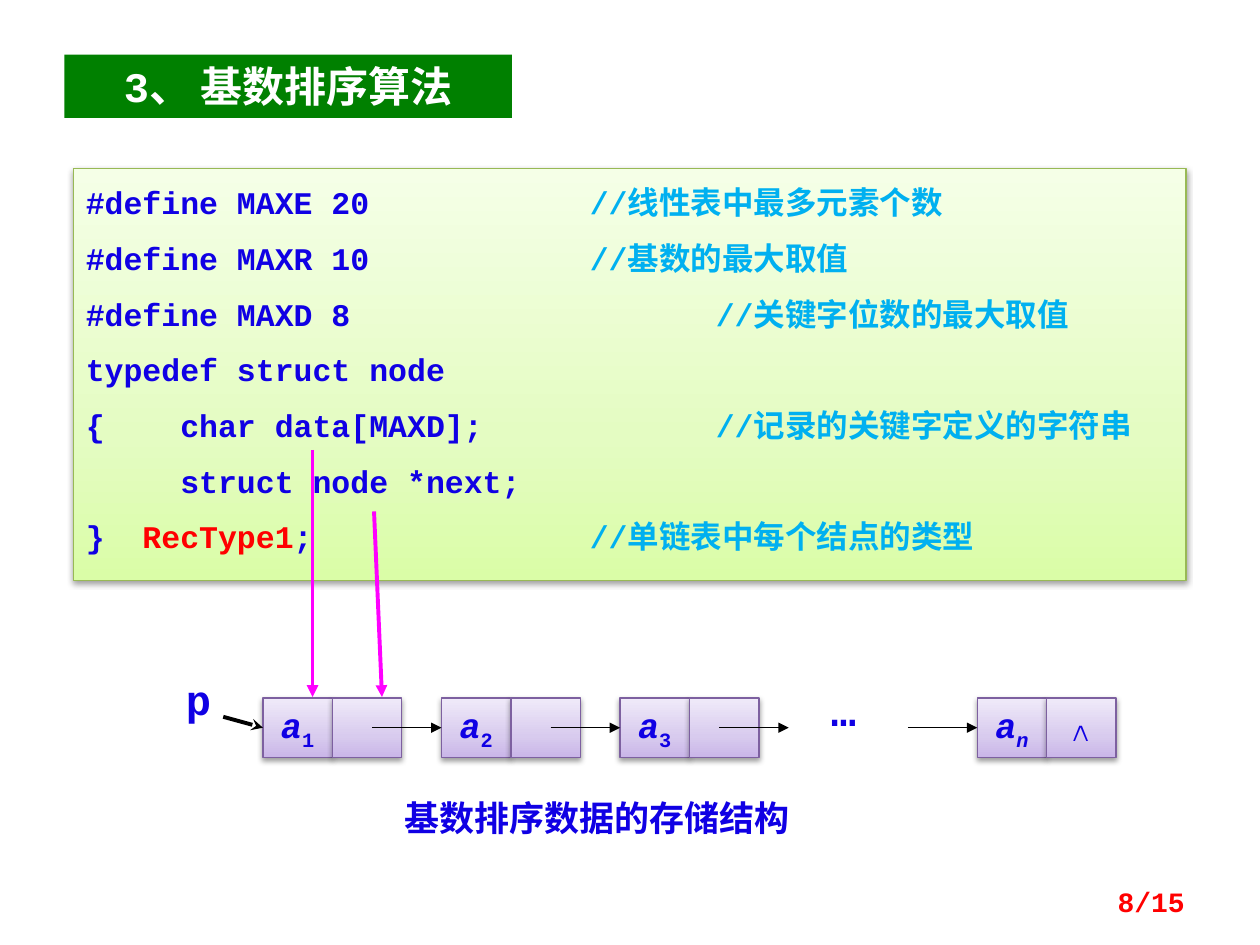
from copy import deepcopy

from lxml import etree
from pptx import Presentation
from pptx.dml.color import RGBColor
from pptx.enum.shapes import MSO_CONNECTOR, MSO_SHAPE
from pptx.enum.text import MSO_ANCHOR, PP_ALIGN
from pptx.oxml.ns import qn
from pptx.util import Cm, Pt

RECTANGLE = MSO_SHAPE.RECTANGLE
STRAIGHT = MSO_CONNECTOR.STRAIGHT
TOP, MIDDLE = MSO_ANCHOR.TOP, MSO_ANCHOR.MIDDLE
LEFT, CENTER, RIGHT = PP_ALIGN.LEFT, PP_ALIGN.CENTER, PP_ALIGN.RIGHT
JUSTIFY = PP_ALIGN.JUSTIFY

FONT = "Courier New"
BLUE, SKY, RED, WHITE = "1000E4", "00B0F0", "FF0000", "FFFFFF"
BLACK, MAGENTA, GREEN = "000000", "FF00FF", "008000"
LIME_STOPS = [(0, "DAFDA7"), (0.35, "E4FCC2"), (1, "F5FFE7")]
LILAC_STOPS = [(0, "C9B5E8"), (0.35, "D8CBEE"), (1, "F0EAF9")]

NODE_LEFT, NODE_TOP, NODE_STEP = 5.3, 14.07, 3.6
CELL_WIDTH, CELL_HEIGHT = 1.4, 1.2
NODE_MIDDLE = NODE_TOP + CELL_HEIGHT / 2
NEAR_TAB, FAR_TAB = 10.16, 12.7

CODE_LINES = [
    ([("#define MAXE 20", BLUE)], "//线性表中最多元素个数", NEAR_TAB),
    ([("#define MAXR 10", BLUE)], "//基数的最大取值", NEAR_TAB),
    ([("#define MAXD 8", BLUE)], "//关键字位数的最大取值", FAR_TAB),
    ([("typedef struct node", BLUE)], None, None),
    ([("{    char data[MAXD];", BLUE)], "//记录的关键字定义的字符串", FAR_TAB),
    ([("     struct node *next;", BLUE)], None, None),
    ([("}  ", BLUE), ("RecType1", RED), (";", BLUE)], "//单链表中每个结点的类型", NEAR_TAB),
]


def color(value):
    """Turn a hex string into a colour."""
    return RGBColor.from_string(value)


def add_span(para, text, size, ink, italic=False, subscript=False):
    """Append one bold run to a paragraph."""
    span = para.add_run()
    span.text = text
    span.font.name = FONT
    span.font.size = Pt(size)
    span.font.bold = True
    span.font.italic = italic
    span.font.color.rgb = color(ink)
    if subscript:
        span.font._element.set("baseline", "-25000")


def first_para(box, align, anchor, wrap=True):
    """Set up a text frame and return its first paragraph."""
    frame = box.text_frame
    frame.word_wrap = wrap
    frame.vertical_anchor = anchor
    para = frame.paragraphs[0]
    para.alignment = align
    return para


def add_label(page, place, text, size, ink=BLUE, align=LEFT, anchor=TOP):
    """Add a text box holding one run."""
    box = page.shapes.add_textbox(*map(Cm, place))
    add_span(first_para(box, align, anchor), text, size, ink)


def add_panel(page, place, stops, edge):
    """Add a rectangle with an upward gradient and a soft shadow."""
    panel = page.shapes.add_shape(RECTANGLE, *map(Cm, place))
    panel.fill.gradient()
    panel.fill.gradient_angle = 90
    stop_list = panel._element.spPr.find(".//" + qn("a:gsLst"))
    stop_list.insert(1, deepcopy(stop_list[0]))
    for stop, (position, ink) in zip(panel.fill.gradient_stops, stops):
        stop.position = position
        stop.color.rgb = color(ink)
    panel.line.color.rgb = color(edge)
    panel.line.width = Pt(0.75)
    panel.shadow.inherit = False
    effects = panel._element.spPr.find(qn("a:effectLst"))
    shadow = etree.SubElement(effects, qn("a:outerShdw"), blurRad="40000",
                              dist="20000", dir="5400000", rotWithShape="0")
    ink = etree.SubElement(shadow, qn("a:srgbClr"), val=BLACK)
    etree.SubElement(ink, qn("a:alpha"), val="38000")
    return panel


def add_arrow(page, start, end, ink=BLACK, width=0.75, head="triangle", target=None):
    """Add an arrow, joined to the left side of the target if there is one."""
    arrow = page.shapes.add_connector(STRAIGHT, *map(Cm, (*start, *end)))
    if target is not None:
        arrow.end_connect(target, 1)
    arrow.line.color.rgb = color(ink)
    arrow.line.width = Pt(width)
    etree.SubElement(arrow.line._get_or_add_ln(), qn("a:tailEnd"), type=head)
    etree.SubElement(arrow._element.spPr, qn("a:effectLst"))


def add_title(page):
    """Add the green heading bar."""
    bar = page.shapes.add_shape(RECTANGLE, Cm(1.3), Cm(1.1), Cm(9.02), Cm(1.28))
    bar.shadow.inherit = False
    bar.fill.solid()
    bar.fill.fore_color.rgb = color(GREEN)
    bar.line.fill.background()
    add_span(first_para(bar, CENTER, TOP), "3、 基数排序算法", 24, WHITE)


def add_code(page):
    """Add the code panel with comments aligned by tab stops."""
    panel = add_panel(page, (1.48, 3.4, 22.43, 8.3), LIME_STOPS, "98B955")
    para = first_para(panel, JUSTIFY, TOP)
    frame = panel.text_frame
    frame.margin_top = frame.margin_bottom = Cm(0.3)
    for index, (code, comment, tab) in enumerate(CODE_LINES):
        if index:
            para = frame.add_paragraph()
            para.alignment = JUSTIFY
            para.space_before = Pt(10.2)
        for text, ink in code:
            add_span(para, text, 18, ink)
        if comment:
            tabs = etree.SubElement(para._p.get_or_add_pPr(), qn("a:tabLst"))
            etree.SubElement(tabs, qn("a:tab"), pos=str(Cm(tab)), algn="l")
            add_span(para, "\t", 18, BLUE)
            add_span(para, comment, 18, SKY)


def add_node(page, slot, index, last=False):
    """Add a data cell and a pointer cell and return the data cell."""
    left = NODE_LEFT + slot * NODE_STEP
    data, pointer = [
        add_panel(page, (x, NODE_TOP, CELL_WIDTH, CELL_HEIGHT), LILAC_STOPS, "7D60A0")
        for x in (left, left + CELL_WIDTH)
    ]
    para = first_para(data, CENTER, MIDDLE, wrap=False)
    add_span(para, "a", 20, BLUE, italic=True)
    add_span(para, index, 20, BLUE, italic=last, subscript=True)
    if last:
        add_span(first_para(pointer, CENTER, MIDDLE, wrap=False), "∧", 20, BLUE)
    return data


def add_linked_list(page):
    """Add the chain of nodes with its arrows and labels."""
    nodes = {slot: add_node(page, slot, index, last=index == "n")
             for slot, index in ((0, "1"), (1, "2"), (2, "3"), (4, "n"))}
    for slot in (1, 2, 4):
        end = NODE_LEFT + slot * NODE_STEP
        add_arrow(page, (end - CELL_WIDTH, NODE_MIDDLE), (end, NODE_MIDDLE),
                  target=nodes[slot])
    add_arrow(page, (14.5, NODE_MIDDLE), (15.9, NODE_MIDDLE))
    add_arrow(page, (4.5, 14.45), (NODE_LEFT, NODE_MIDDLE), width=2.25,
              head="stealth", target=nodes[0])
    add_label(page, (3.5, 13.46, 1, 1.27), "p", 24)
    add_label(page, (16.5, 13.67, 1.2, 1.27), "…", 24)
    add_label(page, (7.9, 15.93, 10.8, 1.12), "基数排序数据的存储结构", 20)


def main():
    """Build the slide and save it."""
    deck = Presentation()
    deck.slide_width, deck.slide_height = Cm(25.4), Cm(19.05)
    page = deck.slides.add_slide(deck.slide_layouts[6])
    add_code(page)
    add_linked_list(page)
    for start, end in (((6.3, 9.07), (6.3, 14.05)), ((7.54, 10.31), (7.7, 14.05))):
        add_arrow(page, start, end, MAGENTA, 2.25)
    add_title(page)
    add_label(page, (18.21, 17.65, 5.92, 1.02), "8/15", 16, RED, RIGHT, MIDDLE)
    deck.save("out.pptx")


if __name__ == "__main__":
    main()
